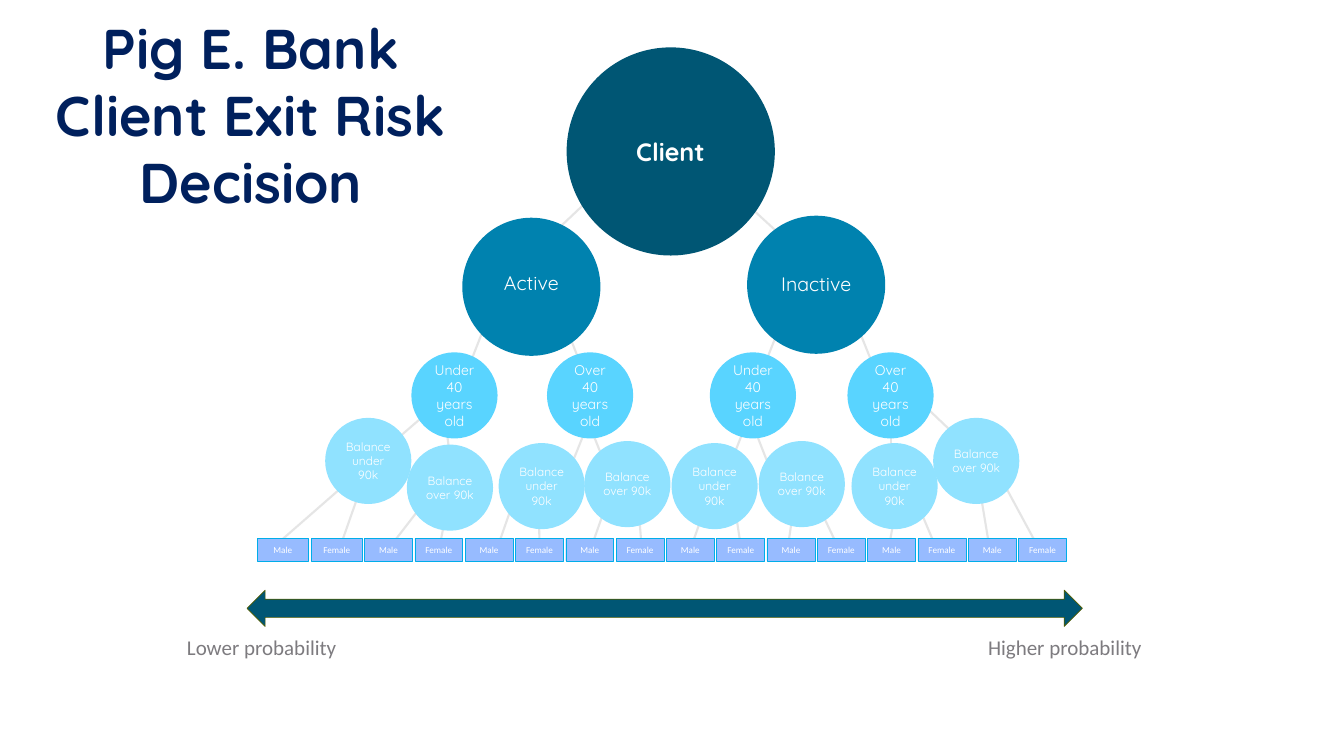
from lxml import etree
from pptx import Presentation
from pptx import util as u
from pptx.dml.color import RGBColor
from pptx.enum import shapes, text
from pptx.oxml.ns import qn

NAVY, DEEP, MID, SKY, PALE = "00205D", "005674", "0082AF", "59D4FF", "90E2FF"
BAR, BAR_EDGE, LINK, OLIVE = "97BBFF", "00ADE9", "E5E5E5", "515C00"
WHITE, GREY = "FFFFFF", "7D7B7F"
CENTER, LEFT = text.PP_ALIGN.CENTER, text.PP_ALIGN.LEFT
OVAL, RECT = shapes.MSO_SHAPE.OVAL, shapes.MSO_SHAPE.RECTANGLE

# Places in the tree are inches from its top left corner.
# Circles of one level: left, top, label
AGES = [(3.16, 5.99, "Under 40 years old"), (5.85, 5.99, "Over 40 years old"),
        (9.08, 5.99, "Under 40 years old"), (11.81, 5.99, "Over 40 years old")]
BALANCES = [(1.45, 7.29, "Balance under 90k"), (3.07, 7.82, "Balance over 90k"),
            (4.89, 7.79, "Balance under 90k"), (6.59, 7.75, "Balance over 90k"),
            (8.32, 7.79, "Balance under 90k"), (10.05, 7.75, "Balance over 90k"),
            (11.89, 7.79, "Balance under 90k"), (13.51, 7.29, "Balance over 90k")]
# Links: start x, start y, end x, end y
LINKS = [
    # client to activity
    (6.64, 3, 5.46, 4.12), (9.76, 3, 11.2, 4.32),
    # activity to age
    (4.61, 5.48, 4.15, 6.66), (6.2, 5.42, 6.66, 6.59),
    (10.6, 5.14, 10.14, 6.31), (11.91, 5.23, 12.38, 6.4),
    # age to balance
    (3.73, 6.97, 2.62, 7.93), (3.79, 7.02, 3.96, 8.31),
    (6.71, 7.29, 6.24, 8.46), (6.63, 7.28, 7.1, 8.45),
    (9.91, 7.13, 9.45, 8.3), (9.81, 7.11, 10.27, 8.29),
    (12.67, 7.05, 12.67, 8.14), (13.13, 6.85, 14.04, 7.72),
    # balance to gender
    (1.7, 8.74, 0.59, 9.71), (2.14, 8.73, 1.74, 9.87),
    (3.4, 8.99, 2.69, 9.91), (3.93, 8.76, 3.71, 9.9),
    (5.22, 8.85, 4.82, 10), (5.68, 9.01, 5.71, 10),
    (7.1, 8.8, 6.7, 9.94), (7.65, 8.88, 7.74, 10),
    (9.08, 8.8, 8.68, 9.94), (9.57, 9.01, 9.71, 9.94),
    (10.79, 8.78, 10.62, 9.9), (11.2, 8.96, 11.63, 9.87),
    (12.78, 9.02, 12.62, 9.94), (13.21, 9.02, 13.62, 9.99),
    (14.43, 8.67, 14.63, 9.88), (14.85, 8.48, 15.59, 9.85)]


def rgb(code):
    return RGBColor.from_string(code)


def write(sp, label, size, font, color=WHITE, align=CENTER, bold=False):
    tf = sp.text_frame
    tf.word_wrap = True
    tf.text = label
    p = tf.paragraphs[0]
    p.alignment = align
    f = p.runs[0].font
    f.size, f.name, f.bold = u.Pt(size), font, bold
    f.color.rgb = rgb(color)


def add_label(s, x, y, w, h, label, size, font, **style):
    sp = s.shapes.add_textbox(*map(u.Inches, (x, y, w, h)))
    write(sp, label, size, font, **style)


def add_shape(s, kind, x, y, w, h, fill, edge=None, edge_width=1):
    sp = s.shapes.add_shape(kind, *map(u.Inches, (x, y, w, h)))
    sp.shadow.inherit = False
    sp.fill.solid()
    sp.fill.fore_color.rgb = rgb(fill)
    if edge:
        sp.line.color.rgb = rgb(edge)
        sp.line.width = u.Pt(edge_width)
    else:
        sp.line.fill.background()
    sp.text_frame.vertical_anchor = text.MSO_ANCHOR.MIDDLE
    return sp


def add_link(s, x1, y1, x2, y2):
    c = s.shapes.add_connector(shapes.MSO_CONNECTOR.STRAIGHT,
                               *map(u.Inches, (x1, y1, x2, y2)))
    c.line.color.rgb = rgb(LINK)
    c.line.width = u.Pt(3)
    etree.SubElement(c._element.spPr, qn("a:effectLst"))


def add_level(s, x, y, nodes, size, fill):
    for left, top, label in nodes:
        sp = add_shape(s, OVAL, x + left, y + top, 1.71, 1.71, fill)
        write(sp, label, size, "Quicksand")


def add_genders(s, x, y):
    """Row of 16 bars; the first two are wider than the rest."""
    for i in range(16):
        left, w = (1.07 * i, 1.02) if i < 2 else (2.13 + 0.998 * (i - 2), 0.95)
        sp = add_shape(s, RECT, x + left, y, w, 0.45, BAR, BAR_EDGE, 0.5)
        write(sp, ("Male", "Female")[i % 2], 13, "Calibri")


def add_tree(s, x, y):
    for x1, y1, x2, y2 in LINKS:
        add_link(s, x + x1, y + y1, x + x2, y + y2)
    add_shape(s, OVAL, x + 6.24, y - 0.06, 4.13, 4.13, DEEP)
    add_label(s, x + 6.66, y + 1.65, 3.28, 0.71, "Client", 36, "Quicksand", bold=True)
    add_level(s, x, y, AGES, 20, SKY)
    for left, top, label_top, label in [(4.17, 3.32, 4.32, "Active"),
                                        (9.82, 3.28, 4.34, "Inactive")]:
        add_shape(s, OVAL, x + left, y + top, 2.74, 2.74, MID)
        add_label(s, x + left - 0.08, y + label_top, 2.9, 0.57, label, 28, "Quicksand")
    add_level(s, x, y, BALANCES, 17, PALE)
    add_genders(s, x + 0.1, y + 9.68)


def add_scale(s, x, y, w):
    """Double arrow with a label under each end."""
    add_shape(s, shapes.MSO_SHAPE.LEFT_RIGHT_ARROW, x, y, w, 0.72, DEEP, OLIVE)
    for left, label in [(x - 1.29, "Lower probability"),
                        (x + w - 1.97, "Higher probability")]:
        add_label(s, left, y + 0.84, 3.95, 0.61, label, 30, "Calibri",
                  color=GREY, align=LEFT)


def main():
    prs = Presentation()
    prs.slide_width, prs.slide_height = u.Inches(26.66), u.Inches(15)
    s = prs.slides.add_slide(prs.slide_layouts[6])
    add_label(s, 0.33, 0.21, 9.29, 4.14, "Pig E. Bank Client Exit Risk Decision",
              80, "Quicksand", color=NAVY, bold=True)
    add_tree(s, 5, 1)
    add_scale(s, 4.9, 11.71, 16.57)
    prs.save("out.pptx")


if __name__ == "__main__":
    main()
